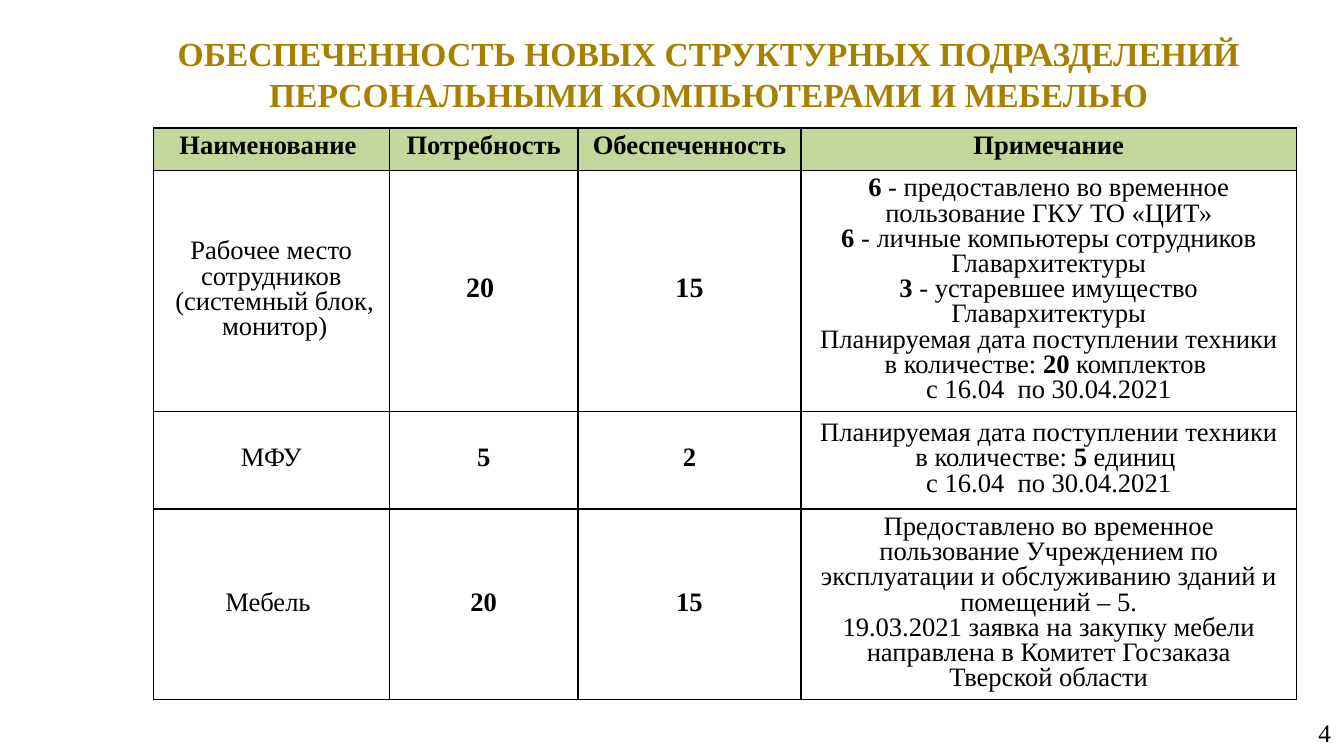
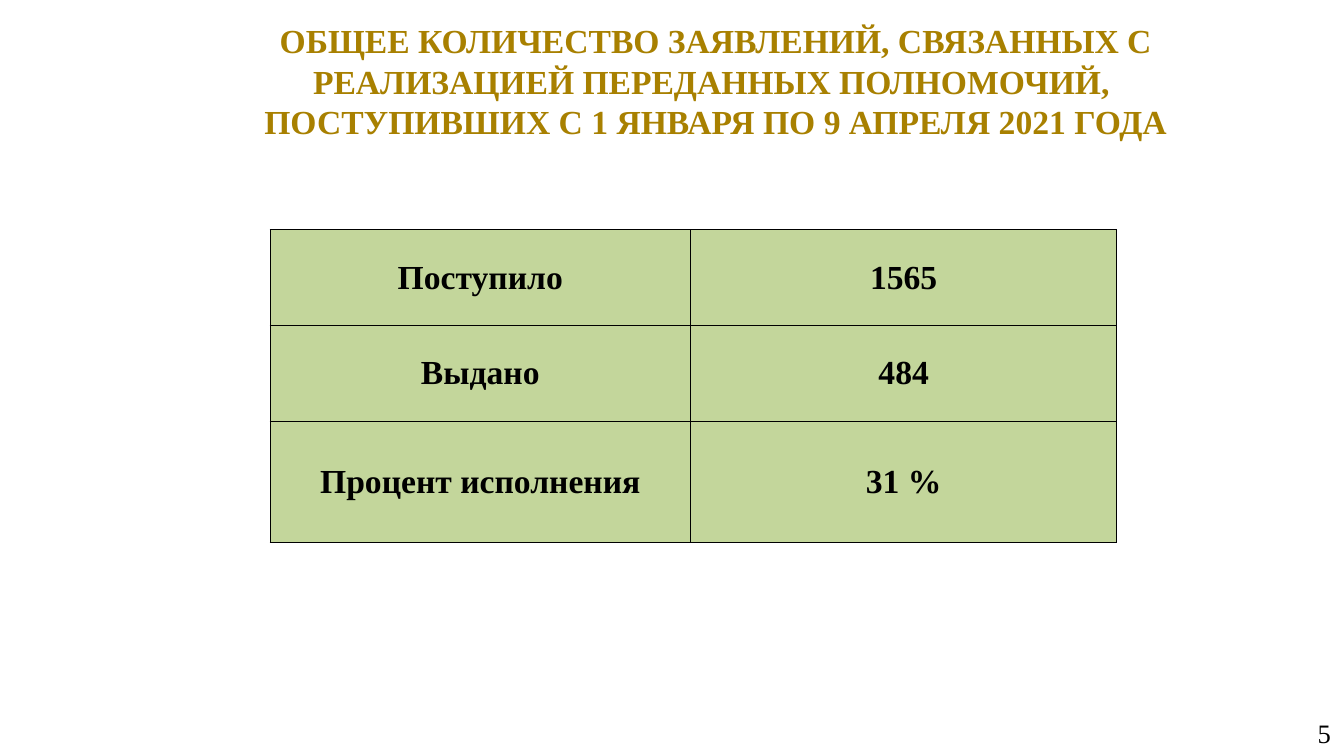
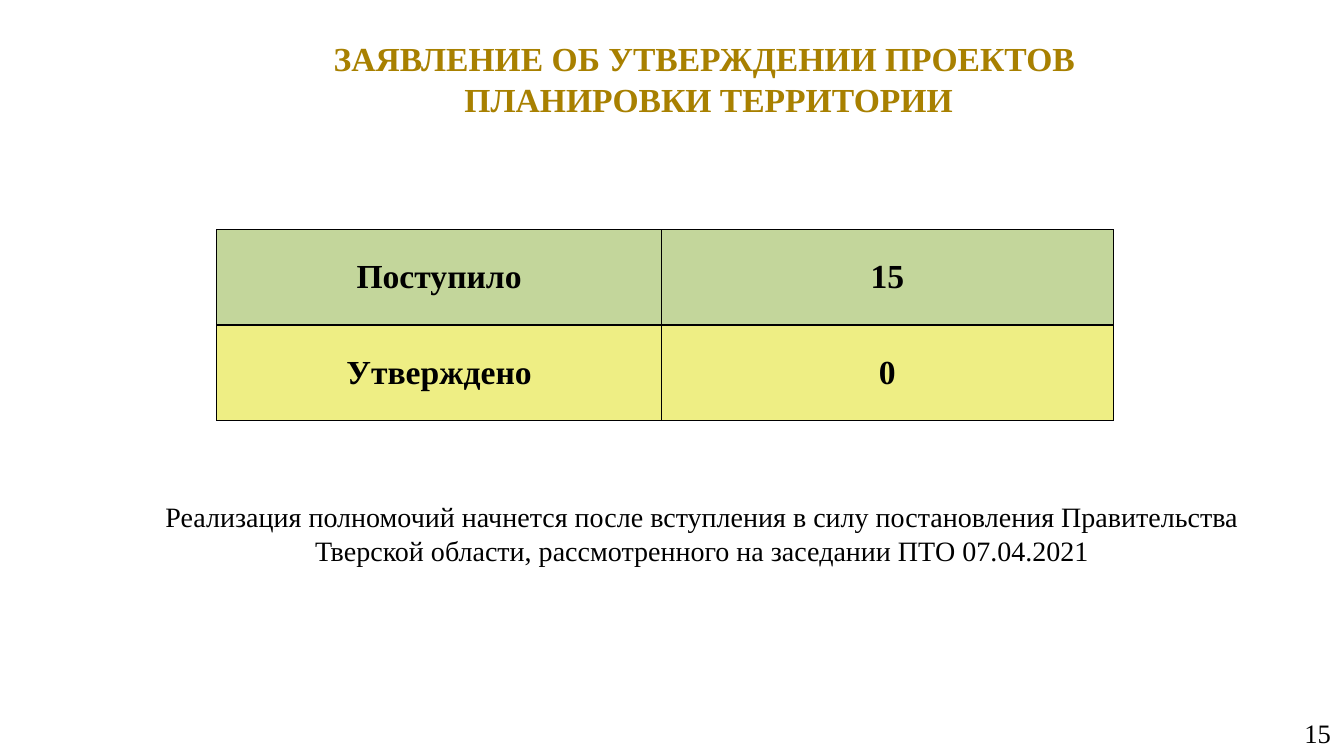
from dataclasses import dataclass

from lxml import etree
from pptx import Presentation
from pptx.dml.color import RGBColor
from pptx.enum.text import MSO_ANCHOR, MSO_AUTO_SIZE, PP_ALIGN
from pptx.oxml.ns import qn
from pptx.util import Inches, Pt

MID = MSO_ANCHOR.MIDDLE
FIXED = MSO_AUTO_SIZE.NONE
MIDST = PP_ALIGN.CENTER
RIGHT = PP_ALIGN.RIGHT

WIDE, HIGH = Inches(13.33), Inches(7.5)
PAD_X, PAD_Y = Inches(0.13), Inches(0.07)
FONT = "Times New Roman"
HUES = {"gold": "A88000", "ink": "000000", "green": "C3D69B", "lemon": "EEEE84"}
EDGES = ("a:lnL", "a:lnR", "a:lnT", "a:lnB")
TITLE_ONLY = 5


@dataclass
class Box:
    """A place on the slide, in percent of its width and height."""
    left: float
    top: float
    wide: float
    high: float

    def frame(self) -> tuple[int, int, int, int]:
        return (int(WIDE * self.left / 100), int(HIGH * self.top / 100),
                int(WIDE * self.wide / 100), int(HIGH * self.high / 100))


@dataclass
class Cell:
    text: str
    size: int = 19
    bold: bool = False


@dataclass
class Row:
    """One table row; high is its weight among the rows, lead its line pitch."""
    high: float
    cells: list[Cell]
    fill: str = ""
    lead: int = 0


@dataclass
class Grid:
    box: Box
    cols: list[float]
    rows: list[Row]


@dataclass
class Page:
    title: str
    left: float
    top: float
    num: str
    grid: Grid
    num_size: int = 19
    note: str = ""


NUM_BOX = Box(76.67, 94.27, 23.33, 5.33)
NOTE_BOX = Box(7.58, 65.2, 89.32, 10.67)


def write(frame, text: str, *, size: int, hue: str = "ink", bold: bool = False,
          align=MIDST, lead: int = 0) -> None:
    """Fill a text frame: a newline starts a paragraph, *stars* flip bold."""
    for i, line in enumerate(text.split("\n")):
        para = frame.paragraphs[0] if i == 0 else frame.add_paragraph()
        para.alignment = align
        para.space_before = Pt(0)
        if lead:
            para.line_spacing = Pt(lead)
        for j, part in enumerate(line.split("*")):
            if not part:
                continue
            for k, piece in enumerate(part.split("\v")):
                if k:
                    para.add_line_break()
                run = para.add_run()
                run.text = piece
                font = run.font
                font.name, font.size = FONT, Pt(size)
                font.bold = bold != (j % 2 == 1)
                font.color.rgb = RGBColor.from_string(HUES[hue])


def set_up(frame) -> None:
    frame.word_wrap = True
    frame.auto_size = FIXED
    frame.vertical_anchor = MID
    frame.margin_left = frame.margin_right = PAD_X
    frame.margin_top = frame.margin_bottom = PAD_Y


def add_text(slide, box: Box, text: str, **form) -> None:
    frame = slide.shapes.add_textbox(*box.frame()).text_frame
    set_up(frame)
    write(frame, text, **form)


def add_title(slide, page: Page) -> None:
    shape = slide.shapes.title
    shape.left, shape.top, shape.width, shape.height = Box(
        page.left, page.top, 85.8, 13.33).frame()
    set_up(shape.text_frame)
    write(shape.text_frame, page.title, size=24, hue="gold", bold=True)


def rule(cell) -> None:
    """Draw a thin line on each side of a cell."""
    props = cell._tc.get_or_add_tcPr()
    for edge in EDGES:
        line = etree.SubElement(props, qn(edge), w=str(Pt(1)))
        fill = etree.SubElement(line, qn("a:solidFill"))
        etree.SubElement(fill, qn("a:srgbClr"), val=HUES["ink"])


def add_grid(slide, grid: Grid) -> None:
    left, top, wide, high = grid.box.frame()
    table = slide.shapes.add_table(len(grid.rows), len(grid.cols),
                                   left, top, wide, high).table
    table.first_row = table.horz_banding = False
    for col, share in zip(table.columns, grid.cols):
        col.width = int(wide * share / sum(grid.cols))
    total = sum(row.high for row in grid.rows)
    for line, row in zip(table.rows, grid.rows):
        line.height = int(high * row.high / total)
        for cell, item in zip(line.cells, row.cells):
            rule(cell)
            if row.fill:
                cell.fill.solid()
                cell.fill.fore_color.rgb = RGBColor.from_string(HUES[row.fill])
            else:
                cell.fill.background()
            cell.vertical_anchor = MID
            cell.margin_left = cell.margin_right = PAD_X
            cell.margin_top = cell.margin_bottom = PAD_Y
            write(cell.text_frame, item.text, size=item.size,
                  bold=item.bold, lead=row.lead)


def heads(*texts: str, size: int = 24) -> list[Cell]:
    return [Cell(text, size, True) for text in texts]


STOCK = Grid(Box(11.4, 16.93, 85.07, 75.47), [2.34, 1.87, 2.21, 4.91], [
    Row(0.42, heads("Наименование ", "Потребность", "Обеспеченность",
                    "Примечание", size=19), "green", 16),
    Row(2.38, [
        Cell("Рабочее место сотрудников\n (системный блок,\n монитор)"),
        *heads("20 ", "15", size=20),
        Cell("*6* - предоставлено во временное пользование ГКУ ТО «ЦИТ»\n"
             "*6* - личные компьютеры сотрудников Главархитектуры\n"
             "*3* - устаревшее имущество Главархитектуры\n"
             "Планируемая дата поступлении техники в количестве: "
             "*20* комплектов \nс 16.04  по 30.04.2021")], lead=18),
    Row(0.97, [
        Cell("МФУ"), *heads("5", "2", size=19),
        Cell("Планируемая дата поступлении техники в количестве: "
             "*5* единиц \nс 16.04  по 30.04.2021")], lead=18),
    Row(1.89, [
        Cell("Мебель "), *heads("20", "15", size=19),
        Cell("Предоставлено во временное пользование Учреждением по "
             "эксплуатации и обслуживанию зданий и помещений – 5.\n"
             "19.03.2021 заявка на закупку мебели направлена в Комитет "
             "Госзаказа Тверской области")], lead=18),
])

CLAIMS = Grid(Box(20.1, 30.4, 63, 41.33), [4.17, 4.23], [
    Row(0.95, heads("Поступило", "1565"), "green"),
    Row(0.95, heads("Выдано", "484"), "green"),
    Row(1.2, heads("Процент исполнения", "31 %"), "green"),
])

PLANS = Grid(Box(16.13, 30.4, 66.7, 25.2), [4.41, 4.48], [
    Row(1, heads("Поступило", "15"), "green"),
    Row(1, heads("Утверждено", "0"), "lemon"),
])

PAGES = [
    Page("ОБЕСПЕЧЕННОСТЬ НОВЫХ СТРУКТУРНЫХ ПОДРАЗДЕЛЕНИЙ "
         "ПЕРСОНАЛЬНЫМИ КОМПЬЮТЕРАМИ И МЕБЕЛЬЮ",
         9.83, 3.07, "4", STOCK, num_size=18),
    Page("ОБЩЕЕ КОЛИЧЕСТВО ЗАЯВЛЕНИЙ, СВЯЗАННЫХ С РЕАЛИЗАЦИЕЙ ПЕРЕДАННЫХ "
         "ПОЛНОМОЧИЙ, \vПОСТУПИВШИХ С 1 ЯНВАРЯ ПО 9 АПРЕЛЯ 2021 ГОДА",
         10.35, 4, "5", CLAIMS),
    Page("ЗАЯВЛЕНИЕ ОБ УТВЕРЖДЕНИИ ПРОЕКТОВ \vПЛАНИРОВКИ ТЕРРИТОРИИ",
         9.83, 3.73, "15", PLANS,
         note="Реализация полномочий начнется после вступления в силу "
              "постановления Правительства Тверской области, рассмотренного "
              "на заседании ПТО 07.04.2021"),
]


def main() -> None:
    deck = Presentation()
    deck.slide_width, deck.slide_height = WIDE, HIGH
    for page in PAGES:
        slide = deck.slides.add_slide(deck.slide_layouts[TITLE_ONLY])
        add_title(slide, page)
        add_text(slide, NUM_BOX, page.num, size=page.num_size, align=RIGHT)
        add_grid(slide, page.grid)
        if page.note:
            add_text(slide, NOTE_BOX, page.note, size=20)
    deck.save("out.pptx")


if __name__ == "__main__":
    main()
